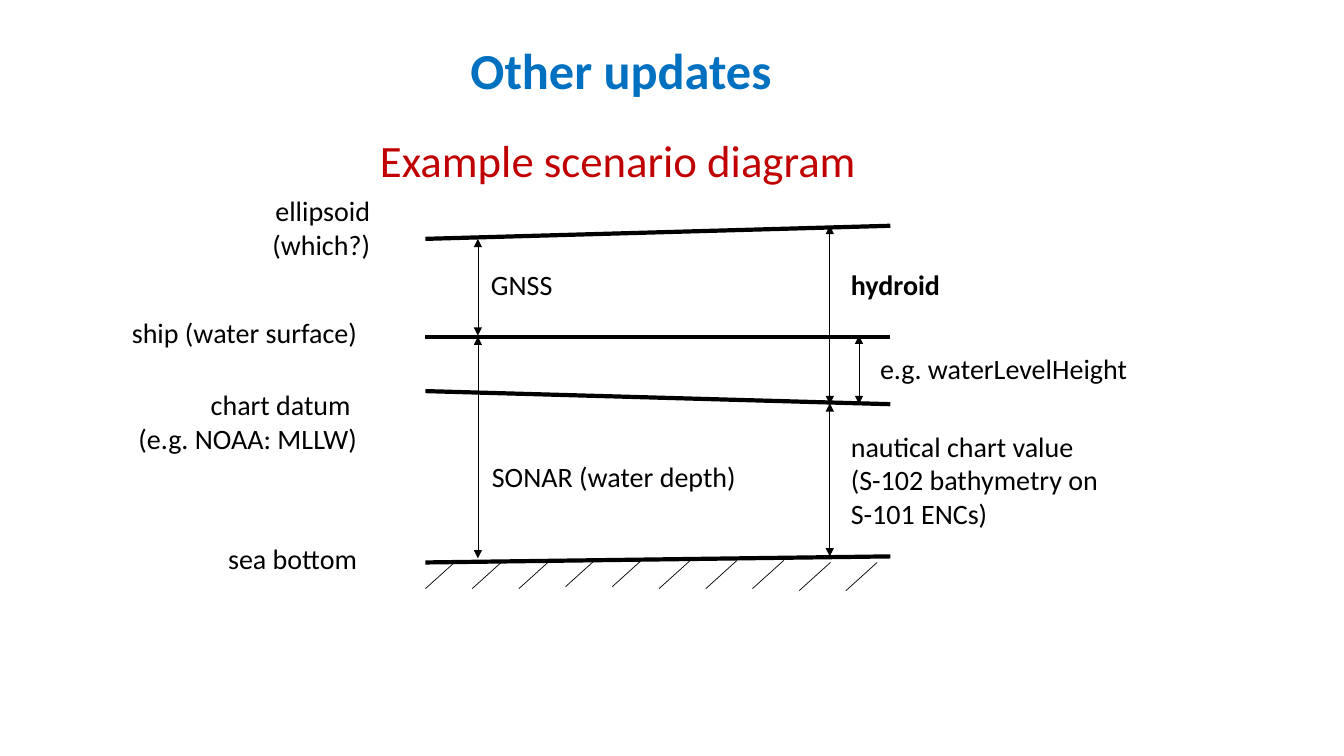
from dataclasses import dataclass

import pptx
import pptx.dml.color
import pptx.enum.shapes
import pptx.enum.text
import pptx.oxml
import pptx.oxml.ns
import pptx.util

Inches = pptx.util.Inches
RGBColor = pptx.dml.color.RGBColor
Align = pptx.enum.text.PP_ALIGN

BLACK = RGBColor(0x00, 0x00, 0x00)
BLUE = RGBColor(0x00, 0x70, 0xC0)
RED = RGBColor(0xC0, 0x00, 0x00)
FONT = "Calibri"


@dataclass
class Label:
    left: float
    top: float
    width: float
    height: float
    paragraphs: tuple[str, ...]
    align: Align = Align.LEFT
    size: int = 20
    color: RGBColor = BLACK
    bold: bool = False
    wrap: bool = False


@dataclass
class Line:
    x1: float
    y1: float
    x2: float
    y2: float
    weight: float = 0.5
    arrows: bool = False


TITLE = Label(0.51, 0.34, 11.3, 1.18, ("Other updates",),
              Align.CENTER, 36, BLUE, bold=True, wrap=True)

LABELS = [
    Label(3.67, 1.27, 4.97, 0.64, ("Example scenario diagram",), size=32, color=RED),
    # Surfaces, named on the left
    Label(2.59, 1.87, 1.18, 0.77, ("ellipsoid", "(which?)"), Align.RIGHT),
    Label(1.18, 3.08, 2.46, 0.44, ("ship (water surface)",), Align.RIGHT),
    Label(1.25, 3.8, 2.39, 0.77, ("chart datum \n(e.g. NOAA: MLLW)",), Align.RIGHT),
    Label(2.14, 5.32, 1.5, 0.44, ("sea bottom",), Align.RIGHT),
    # Distances, named beside their arrows
    Label(4.77, 2.6, 0.82, 0.44, ("GNSS",)),
    Label(4.78, 4.51, 2.65, 0.44, ("SONAR (water depth)",)),
    Label(8.34, 2.6, 1.09, 0.44, ("hydroid",), bold=True),
    Label(8.63, 3.44, 2.68, 0.44, ("e.g. waterLevelHeight",)),
    Label(8.34, 4.21, 2.74, 1.11,
          ("nautical chart value \n(S-102 bathymetry on \nS-101 ENCs)",)),
]

# Left and right heights of ellipsoid, water surface, chart datum, sea bottom
SURFACE_LEFT, SURFACE_RIGHT = 4.22, 8.83
SURFACE_HEIGHTS = [(2.37, 2.24), (3.34, 3.34), (3.88, 4.01), (5.58, 5.52)]

# Horizontal place, top and bottom of each measured distance
DISTANCES = [
    (4.74, 2.37, 3.33),
    (4.74, 3.34, 5.54),
    (8.23, 2.24, 4.01),
    (8.52, 3.33, 4.01),
    (8.23, 4.0, 5.52),
]

# Sea bottom hatching
HATCH_FIRST, HATCH_LAST = 4.53, 8.7
HATCH_WIDTH, HATCH_HEIGHT = 0.31, 0.28
HATCH_TOPS = [5.56, 5.56, 5.56, 5.54, 5.54, 5.56, 5.56, 5.56, 5.58, 5.58]


def write_text(shape, label: Label) -> None:
    frame = shape.text_frame
    frame.word_wrap = label.wrap
    frame.auto_size = pptx.enum.text.MSO_AUTO_SIZE.SHAPE_TO_FIT_TEXT
    frame.vertical_anchor = pptx.enum.text.MSO_ANCHOR.TOP
    font_format = {"name": FONT, "size": pptx.util.Pt(label.size), "bold": label.bold}
    for index, text in enumerate(label.paragraphs):
        para = frame.add_paragraph() if index else frame.paragraphs[0]
        para.text = text
        para.alignment = label.align
        for span in para.runs:
            for name, value in font_format.items():
                setattr(span.font, name, value)
            span.font.color.rgb = label.color


def place_title(page, label: Label) -> None:
    title = page.shapes.title
    for side in ("left", "top", "width", "height"):
        setattr(title, side, Inches(getattr(label, side)))
    write_text(title, label)


def draw_label(page, label: Label) -> None:
    box = page.shapes.add_textbox(Inches(label.left), Inches(label.top),
                                  Inches(label.width), Inches(label.height))
    write_text(box, label)


def draw_line(page, line: Line) -> None:
    connector = page.shapes.add_connector(
        pptx.enum.shapes.MSO_CONNECTOR.STRAIGHT,
        Inches(line.x1), Inches(line.y1), Inches(line.x2), Inches(line.y2))
    connector.line.color.rgb = BLACK
    connector.line.width = pptx.util.Pt(line.weight)
    properties = connector._element.spPr
    if line.arrows:
        outline = properties.find(pptx.oxml.ns.qn("a:ln"))
        for end in ("headEnd", "tailEnd"):
            outline.append(pptx.oxml.parse_xml(
                f'<a:{end} {pptx.oxml.ns.nsdecls("a")} type="triangle"/>'))
    properties.append(pptx.oxml.parse_xml(
        f'<a:effectLst {pptx.oxml.ns.nsdecls("a")}/>'))


def main() -> None:
    deck = pptx.Presentation()
    deck.slide_width, deck.slide_height = Inches(13.33), Inches(7.5)
    page = deck.slides.add_slide(deck.slide_layouts.get_by_name("Title Only"))
    place_title(page, TITLE)

    # Surfaces
    for left_y, right_y in SURFACE_HEIGHTS:
        draw_line(page, Line(SURFACE_LEFT, left_y, SURFACE_RIGHT, right_y, weight=3))

    # Hatching
    pitch = (HATCH_LAST - HATCH_FIRST) / (len(HATCH_TOPS) - 1)
    for index, top in enumerate(HATCH_TOPS):
        x = HATCH_FIRST + index * pitch
        draw_line(page, Line(x, top, x - HATCH_WIDTH, top + HATCH_HEIGHT))

    # Distances and labels
    for x, top, bottom in DISTANCES:
        draw_line(page, Line(x, top, x, bottom, arrows=True))
    for label in LABELS:
        draw_label(page, label)

    deck.save("out.pptx")


if __name__ == "__main__":
    main()
